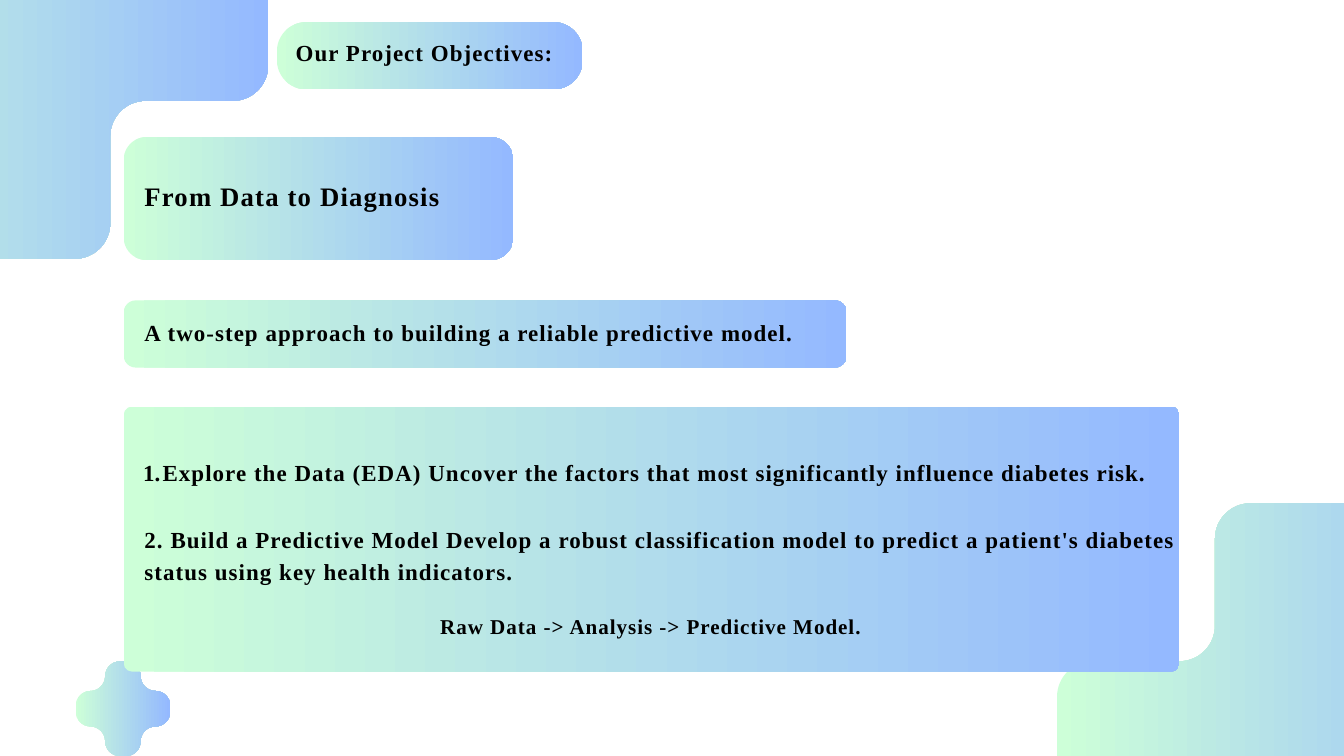
"""Build the project objectives slide with gradient panels and rounded crosses."""
import math

import pptx
import pptx.dml.color
import pptx.enum.shapes
import pptx.enum.text
import pptx.oxml
import pptx.oxml.ns
import pptx.util

COLUMNS = 80
FONT = "Times New Roman"
MINT, BLUE, BLACK = "CDFFD8", "94B9FF", "000000"
LEFT = pptx.enum.text.PP_ALIGN.LEFT
CENTER = pptx.enum.text.PP_ALIGN.CENTER


def colour(hex_value):
    return pptx.dml.color.RGBColor.from_string(hex_value)


def paint(shape):
    shape.shadow.inherit = False
    shape.line.fill.background()
    shape.fill.gradient()
    shape.fill.gradient_angle = 0
    for stop, hex_value in zip(shape.fill.gradient_stops, (MINT, BLUE)):
        stop.color.rgb = colour(hex_value)


deck = pptx.Presentation()
deck.slide_width = pptx.util.Inches(20)
deck.slide_height = pptx.util.Inches(11.25)
cell = deck.slide_width // COLUMNS
slide = deck.slides.add_slide(deck.slide_layouts[5])
heading = slide.shapes.title

arm, tip = 3 / 16, 1 / 2
corners = []
for dx, dy in [(1, 0), (0, 1), (-1, 0), (0, -1)]:
    for along, across in [(arm, -arm), (tip, -arm), (tip, arm)]:
        corners.append((along * dx - across * dy, along * dy + across * dx))

crosses = [
    (62.92, 29.96, 30.08, 0.07),
    (-14.12, -14.68, 30.08, 0.07),
    (4.5, 39.37, 5.63, 5 / 32),
]
for left, top, side, radius in crosses:
    outline = []
    for i, (x, y) in enumerate(corners):
        before, after = corners[i - 1], corners[(i + 1) % len(corners)]
        for end, share in [(before, 1), (before, 0.45), (after, 0.45), (after, 1)]:
            reach = radius * share / math.dist((x, y), end)
            px, py = x + (end[0] - x) * reach, y + (end[1] - y) * reach
            outline.append((round(cell * (left + side * (px + tip))),
                            round(cell * (top + side * (py + tip)))))
    builder = slide.shapes.build_freeform(*outline[0])
    builder.add_line_segments(outline[1:], close=True)
    cross = builder.convert_to_shape()
    segments = list(cross.element.iter(pptx.oxml.ns.qn("a:lnTo")))
    for first, second, last in zip(segments[0::4], segments[1::4], segments[2::4]):
        curve = pptx.oxml.parse_xml(
            '<a:cubicBezTo xmlns:a="http://schemas.openxmlformats.org/drawingml/2006/main"/>')
        first.addprevious(curve)
        for segment in (first, second, last):
            curve.append(segment[0])
            segment.getparent().remove(segment)
    paint(cross)

panels = [
    (16.48, 1.32, 18.2, 4, 1.74),
    (7.36, 8.16, 23.2, 7.32, 1.36),
    (7.36, 24.2, 62.84, 15.78, 0.5),
    (7.36, 17.88, 43.04, 4, 0.72),
]
for left, top, width, height, radius in panels:
    panel = slide.shapes.add_shape(
        pptx.enum.shapes.MSO_SHAPE.ROUNDED_RECTANGLE,
        *[round(cell * n) for n in (left, top, width, height)])
    panel.adjustments[0] = radius / height
    paint(panel)

heading.element.getparent().append(heading.element)
lines = [
    ("Our Project Objectives:", 17.6, 2.04, 18.2, 2.08, 24.6, 34.4, 113, LEFT, False),
    ("From Data to Diagnosis", 8.6, 10.4, 62.84, 2.36, 28.6, 40, 130, LEFT, False),
    ("A two-step approach to building a reliable predictive model.",
     8.6, 18.68, 40.92, 2.08, 24.6, 34.4, 113, LEFT, False),
    ("Explore the Data (EDA) Uncover the factors that most significantly "
     "influence diabetes risk.",
     7.36, 27, 62.84, 2.08, 24.6, 34.4, 113, LEFT, True),
    ("2. Build a Predictive Model Develop a robust classification model to "
     "predict a patient's diabetes status using key health indicators.",
     8.6, 31, 62.84, 3.92, 24.6, 34.4, 113, LEFT, False),
    ("Raw Data -> Analysis -> Predictive Model.",
     7.32, 36.24, 62.84, 1.88, 22.6, 31.6, 104, CENTER, False),
]
for wording, left, top, width, height, size, leading, tracking, align, numbered in lines:
    place = [round(cell * n) for n in (left, top, width, height)]
    if wording.startswith("Our Project"):
        holder = heading
        holder.left, holder.top, holder.width, holder.height = place
    else:
        holder = slide.shapes.add_textbox(*place)
    frame = holder.text_frame
    frame.word_wrap = True
    frame.auto_size = pptx.enum.text.MSO_AUTO_SIZE.NONE
    frame.vertical_anchor = pptx.enum.text.MSO_ANCHOR.TOP
    frame.margin_left = frame.margin_right = frame.margin_top = frame.margin_bottom = 0
    paragraph = frame.paragraphs[0]
    paragraph.alignment = align
    paragraph.line_spacing = pptx.util.Pt(leading)
    if numbered:
        paragraph.level = 1
        properties = paragraph._p.get_or_add_pPr()
        properties.set("marL", str(round(cell * 2.32)))
        properties.set("indent", str(round(cell * -1.16)))
        properties.append(pptx.oxml.parse_xml(
            '<a:buAutoNum xmlns:a="http://schemas.openxmlformats.org/drawingml/2006/main"'
            ' type="arabicPeriod"/>'))
    run = paragraph.add_run()
    run.text = wording
    run.font.name = FONT
    run.font.size = pptx.util.Pt(size)
    run.font.bold = True
    run.font.color.rgb = colour(BLACK)
    run._r.get_or_add_rPr().set("spc", str(tracking))

deck.save("out.pptx")
